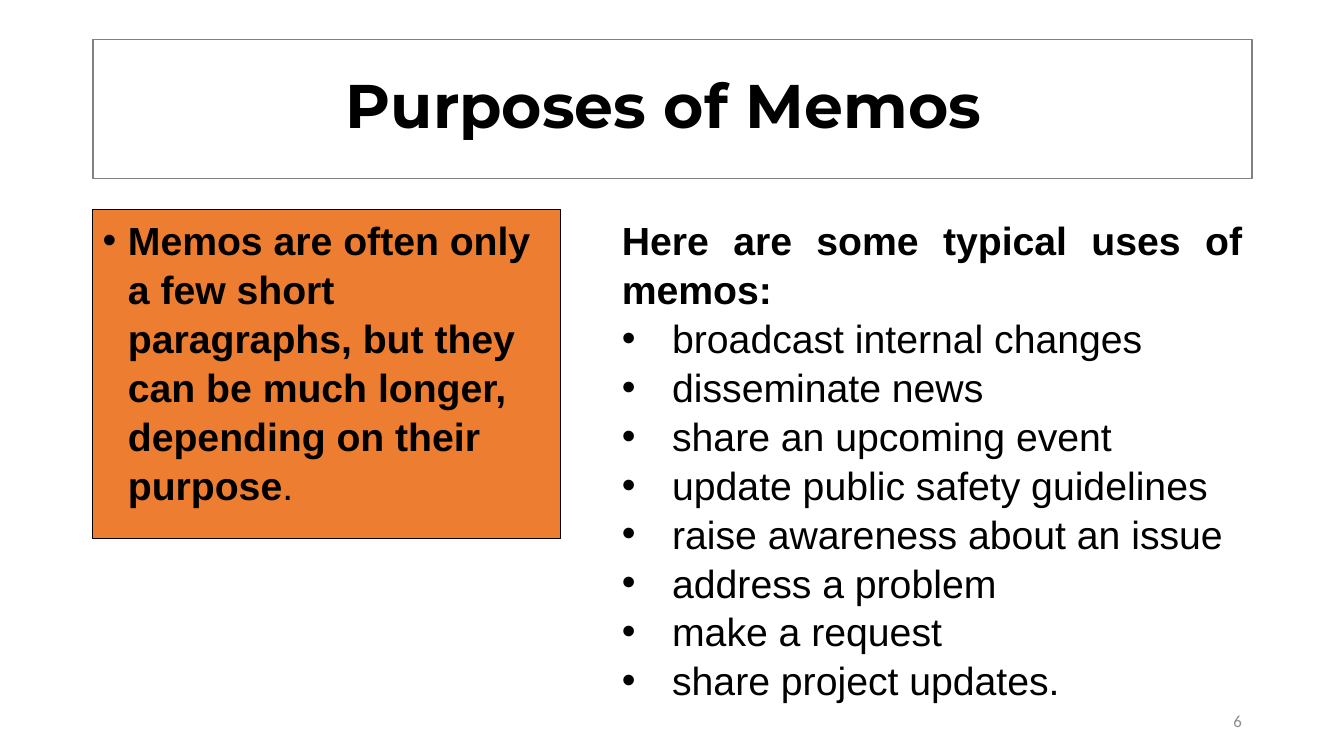
from lxml.etree import SubElement
from pptx import Presentation
from pptx.dml.color import RGBColor
from pptx.enum.shapes import MSO_SHAPE
from pptx.enum.text import MSO_ANCHOR, MSO_AUTO_SIZE, PP_ALIGN
from pptx.oxml.ns import qn
from pptx.util import Cm, Pt

BLACK = RGBColor(0x00, 0x00, 0x00)
GREY = RGBColor(0x80, 0x80, 0x80)
NUMBER_GREY = RGBColor(0x8C, 0x8C, 0x8C)
ORANGE = RGBColor(0xED, 0x7D, 0x31)

TITLE_FONT = {"name": "Montserrat", "size": Pt(44), "bold": True}
STRONG_FONT = {"name": "Arial", "size": Pt(28), "bold": True}
BODY_FONT = {**STRONG_FONT, "bold": False}
NUMBER_FONT = {"name": "Calibri", "size": Pt(12), "bold": False}

BODY_LINES = {"line_spacing": 1.04, "space_before": Pt(0)}
LEFT_LINES = {**BODY_LINES, "alignment": PP_ALIGN.LEFT}
JUSTIFIED_LINES = {**BODY_LINES, "alignment": PP_ALIGN.JUSTIFY}

LEFT, TOP, WIDTH = 2.34, 5.28, 29.21

USES = [
    "broadcast internal changes",
    "disseminate news",
    "share an upcoming event",
    "update public safety guidelines",
    "raise awareness about an issue",
    "address a problem",
    "make a request",
    "share project updates.",
]


def apply(target, formats):
    for attribute, value in formats.items():
        setattr(target, attribute, value)


class MemoSlide:
    def __init__(self, presentation):
        self.slide = presentation.slides.add_slide(presentation.slide_layouts[5])
        self.shapes = self.slide.shapes

    def title(self, text, *place):
        heading = self.shapes.title
        apply(heading, dict(zip(("left", "top", "width", "height"), map(Cm, place))))
        apply(heading.text_frame, {"word_wrap": True, "auto_size": MSO_AUTO_SIZE.NONE,
                                   "vertical_anchor": MSO_ANCHOR.TOP})
        self.paragraph(heading.text_frame, [(text, TITLE_FONT)],
                       {"alignment": PP_ALIGN.CENTER}, first=True)

    def panel(self, *place, fill=None, line=BLACK, line_width=0.75):
        panel = self.shapes.add_shape(MSO_SHAPE.RECTANGLE, *map(Cm, place))
        panel.shadow.inherit = False
        if fill is None:
            panel.fill.background()
        else:
            panel.fill.solid()
            panel.fill.fore_color.rgb = fill
        panel.line.color.rgb = line
        panel.line.width = Pt(line_width)
        apply(panel.text_frame, {"word_wrap": True, "vertical_anchor": MSO_ANCHOR.TOP})
        return panel.text_frame

    def text_box(self, *place, anchor=MSO_ANCHOR.TOP):
        frame = self.shapes.add_textbox(*map(Cm, place)).text_frame
        apply(frame, {"word_wrap": True, "vertical_anchor": anchor})
        return frame

    def paragraph(self, frame, runs, formats, first=False, indent=None, color=BLACK):
        paragraph = frame.paragraphs[0] if first else frame.add_paragraph()
        if indent is not None:
            properties = paragraph._p.get_or_add_pPr()
            properties.set("marL", str(Cm(indent)))
            properties.set("indent", str(-Cm(indent)))
            SubElement(properties, qn("a:buFont")).set("typeface", "Arial")
            SubElement(properties, qn("a:buChar")).set("char", "•")
        apply(paragraph, formats)
        for text, font in runs:
            run = paragraph.add_run()
            run.text = text
            apply(run.font, font)
            run.font.color.rgb = color


def main():
    presentation = Presentation()
    apply(presentation, {"slide_width": Cm(33.87), "slide_height": Cm(19.05)})
    memos = MemoSlide(presentation)

    # Framed title
    memos.panel(LEFT, 0.99, WIDTH, 3.51, line=GREY, line_width=1)
    memos.title("Purposes of Memos ", LEFT, 1.55, WIDTH, 2.13)

    # Length of memos
    length = memos.panel(LEFT, TOP, 11.79, 8.28, fill=ORANGE)
    statement = ("Memos are often only a few short paragraphs, but they can be "
                 "much longer, depending on their purpose")
    memos.paragraph(length, [(statement, STRONG_FONT), (".", BODY_FONT)],
                    LEFT_LINES, first=True, indent=0.635)

    # Typical uses
    uses = memos.text_box(15.42, TOP, 16.13, 12.22)
    memos.paragraph(uses, [("Here are some typical uses of memos:", STRONG_FONT)],
                    JUSTIFIED_LINES, first=True)
    for use in USES:
        memos.paragraph(uses, [(use, BODY_FONT)], JUSTIFIED_LINES, indent=1.27)

    # Slide number
    number = memos.text_box(23.93, 17.65, 7.62, 1.02, anchor=MSO_ANCHOR.MIDDLE)
    memos.paragraph(number, [("6", NUMBER_FONT)], {"alignment": PP_ALIGN.RIGHT},
                    first=True, color=NUMBER_GREY)

    presentation.save("out.pptx")


if __name__ == "__main__":
    main()
